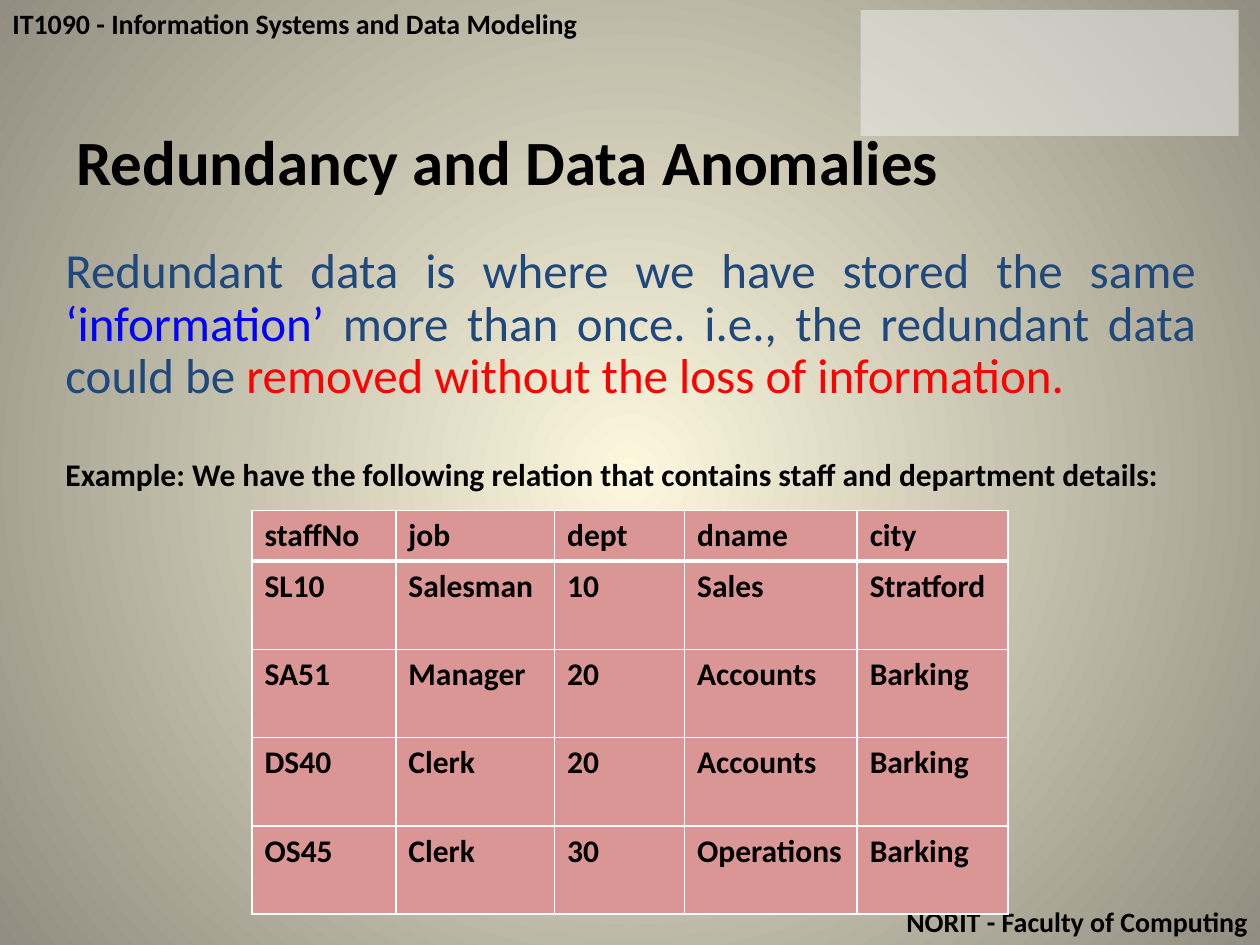
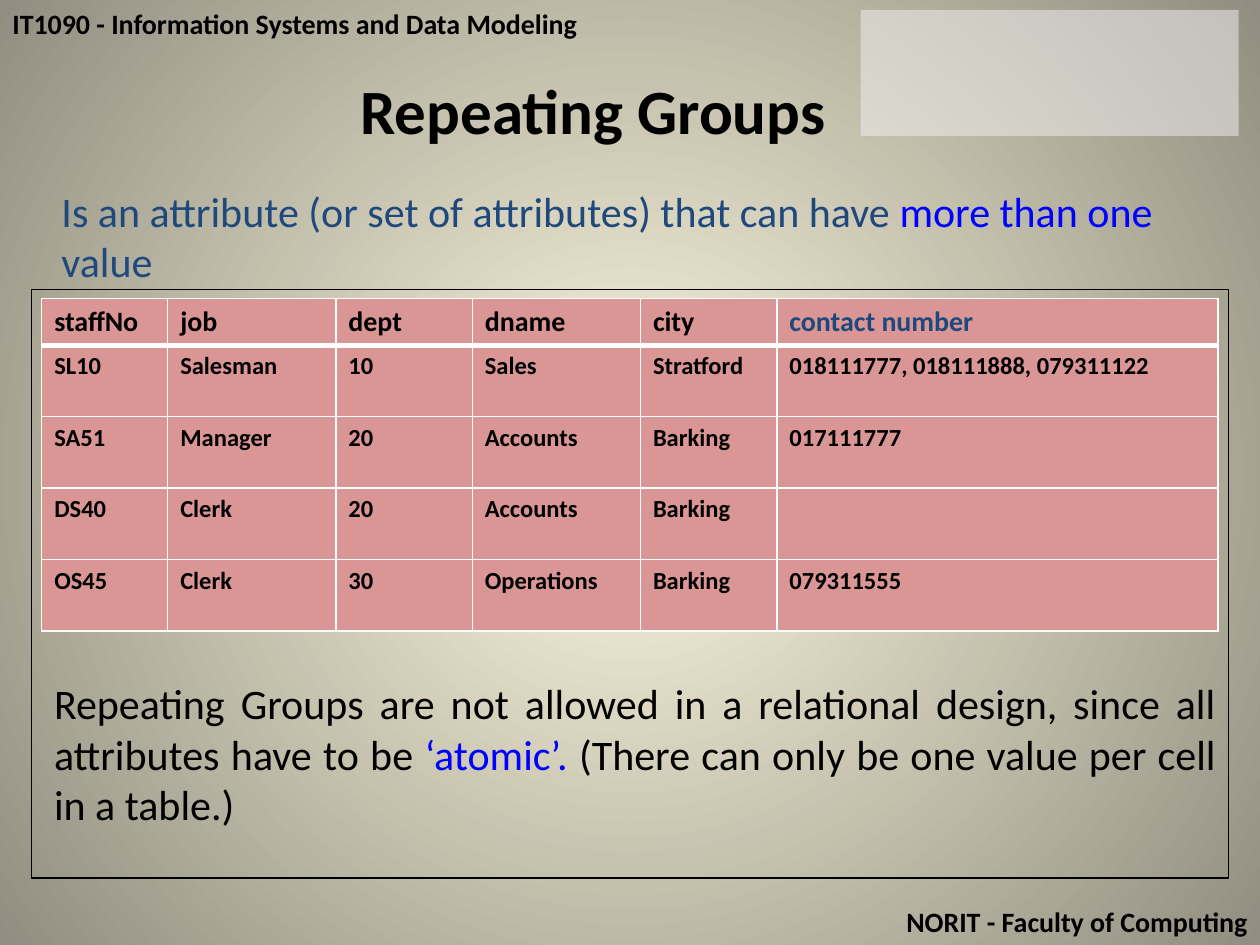
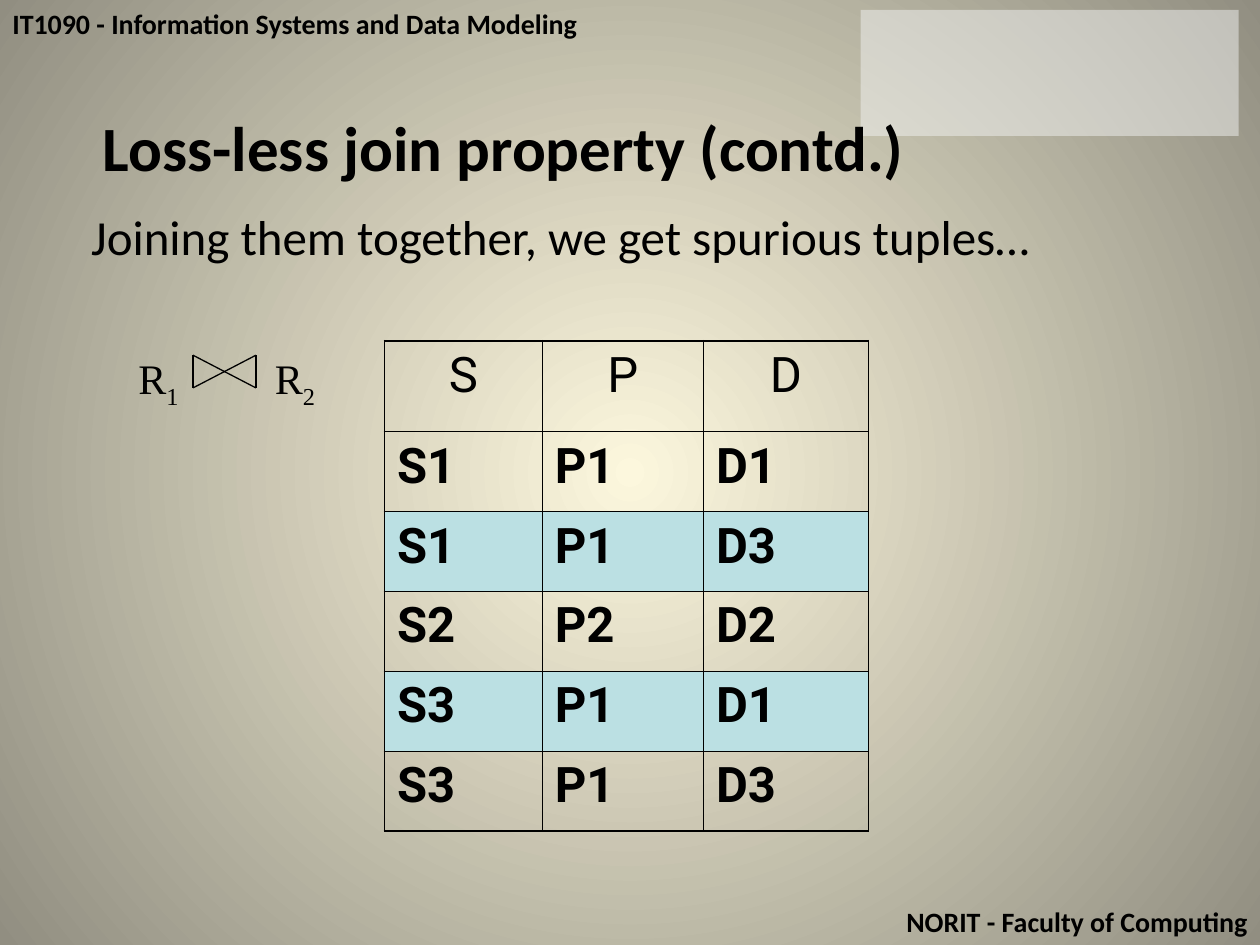
from dataclasses import dataclass

from pptx import Presentation
from pptx.dml.color import RGBColor
from pptx.enum.shapes import MSO_CONNECTOR, MSO_SHAPE
from pptx.enum.text import PP_ALIGN
from pptx.oxml import parse_xml
from pptx.oxml.ns import nsdecls, qn
from pptx.oxml.xmlchemy import OxmlElement
from pptx.util import Cm, Pt


@dataclass(frozen=True)
class Theme:
    font: str = "Calibri"
    grid_font: str = "Roboto"
    math_font: str = "Times New Roman"
    black: str = "000000"
    white: str = "FFFFFF"
    navy: str = "1F497D"
    blue: str = "0000FF"
    red: str = "FF0000"
    rose: str = "D99694"
    aqua: str = "BBE0E3"
    panel: str = "F2F2F2"
    glow: str = "FCF7DD"
    edge: str = "918E81"
    title: int = 36
    lead: int = 28
    body: int = 24
    label: int = 18
    band: int = 16
    small: int = 14
    hairline: float = 0.75


THEME = Theme()


@dataclass(frozen=True)
class Grid:
    """Line widths in points and the line colour of a table."""
    color: str
    outer: float
    inner: float
    under_header: float


ROSE_GRID = Grid(THEME.white, 1, 1, 3)
PLAIN_GRID = Grid(THEME.black, 1.08, 0.45, 0.45)

STAFF_HEADER = ["staffNo", "job", "dept", "dname", "city"]
STAFF = [
    ["SL10", "Salesman", "10", "Sales", "Stratford"],
    ["SA51", "Manager", "20", "Accounts", "Barking"],
    ["DS40", "Clerk", "20", "Accounts", "Barking"],
    ["OS45", "Clerk", "30", "Operations", "Barking"],
]
CONTACTS = ["018111777, 018111888, 079311122", "017111777", "", "079311555"]
JOINED = [
    ["S1", "P1", "D1"],
    ["S1", "P1", "D3"],
    ["S2", "P2", "D2"],
    ["S3", "P1", "D1"],
    ["S3", "P1", "D3"],
]
SPURIOUS_ROWS = (2, 4)


class Deck:
    def __init__(self, theme):
        self.theme = theme
        self.prs = Presentation()
        self.prs.slide_width, self.prs.slide_height = Cm(25.4), Cm(19.05)
        self.s = None
        self.set_background()

    def set_background(self):
        master = self.prs.slide_master
        fill = master.background.fill
        fill.gradient()
        for stop, color in zip(fill.gradient_stops, (self.theme.glow, self.theme.edge)):
            stop.color.rgb = RGBColor.from_string(color)
        grad = next(master.element.iter(qn("a:gradFill")))
        grad.replace(grad.find(qn("a:lin")), parse_xml(
            f'<a:path {nsdecls("a")} path="circle">'
            '<a:fillToRect l="50000" t="50000" r="50000" b="50000"/></a:path>'))

    def slide(self, title, left, top, width):
        """Start a slide with its bands, corner panel and title."""
        t = self.theme
        self.s = self.prs.slides.add_slide(self.prs.slide_layouts[6])
        self.text(0, 0, 25.4, 0.94, [("IT1090 - Information Systems and Data Modeling", t.black)],
                  t.band, bold=True)
        self.text(0, 18.11, 25.4, 0.94, [("NORIT - Faculty of Computing", t.black)],
                  t.band, bold=True, align=PP_ALIGN.RIGHT)
        self.box(17.35, 0.2, 7.62, 2.54, fill=t.panel, opacity=50)
        self.text(left, top, width, 2.21, [(title, t.black)], t.title,
                  bold=True, align=PP_ALIGN.CENTER)

    def run(self, p, text, size, color, bold=False, font=None):
        r = p.add_run()
        r.text = text
        r.font.name = font or self.theme.font
        r.font.size, r.font.bold = Pt(size), bold
        r.font.color.rgb = RGBColor.from_string(color)
        return r

    def text(self, left, top, width, height, runs, size, bold=False,
             align=PP_ALIGN.LEFT, spacing=None):
        """Add a text box from (text, colour) runs and return its text frame."""
        tf = self.s.shapes.add_textbox(Cm(left), Cm(top), Cm(width), Cm(height)).text_frame
        tf.word_wrap = True
        p = tf.paragraphs[0]
        p.alignment, p.line_spacing = align, spacing
        for text, color in runs:
            self.run(p, text, size, color, bold)
        return tf

    def box(self, left, top, width, height, fill=None, opacity=100, line=None):
        sp = self.s.shapes.add_shape(MSO_SHAPE.RECTANGLE, Cm(left), Cm(top), Cm(width), Cm(height))
        sp.shadow.inherit = False
        if fill:
            sp.fill.solid()
            sp.fill.fore_color.rgb = RGBColor.from_string(fill)
            alpha = OxmlElement("a:alpha")
            alpha.set("val", str(opacity * 1000))
            next(sp.element.spPr.iter(qn("a:srgbClr"))).append(alpha)
        else:
            sp.fill.background()
        if line:
            sp.line.color.rgb = RGBColor.from_string(line)
            sp.line.width = Pt(self.theme.hairline)
        else:
            sp.line.fill.background()

    def line(self, x1, y1, x2, y2):
        cx = self.s.shapes.add_connector(MSO_CONNECTOR.STRAIGHT, Cm(x1), Cm(y1), Cm(x2), Cm(y2))
        cx.line.color.rgb = RGBColor.from_string(self.theme.black)
        cx.line.width = Pt(self.theme.hairline)
        cx.element.spPr.append(OxmlElement("a:effectLst"))

    def table(self, left, top, cols, head_height, row_height, rows, grid, fill_for, write):
        """Add a table; fill_for(row) gives a colour or None, write(p, row, col, text) its text."""
        heights = [head_height] + [row_height] * (len(rows) - 1)
        tbl = self.s.shapes.add_table(len(rows), len(cols), Cm(left), Cm(top),
                                      Cm(sum(cols)), Cm(sum(heights))).table
        tbl.first_row = tbl.horz_banding = False
        for column, width in zip(tbl.columns, cols):
            column.width = Cm(width)
        for row, height in zip(tbl.rows, heights):
            row.height = Cm(height)
        for i, values in enumerate(rows):
            for j, value in enumerate(values):
                cell = tbl.cell(i, j)
                self.borders(cell, i, j, len(rows) - 1, len(cols) - 1, grid)
                color = fill_for(i)
                if color:
                    cell.fill.solid()
                    cell.fill.fore_color.rgb = RGBColor.from_string(color)
                else:
                    cell.fill.background()
                if value:
                    write(cell.text_frame.paragraphs[0], i, j, value)

    def borders(self, cell, i, j, last_row, last_col, grid):
        def across(edge):
            if edge in (0, last_row + 1):
                return grid.outer
            return grid.under_header if edge == 1 else grid.inner

        def down(edge):
            return grid.outer if edge in (0, last_col + 1) else grid.inner

        sides = {"L": down(j), "R": down(j + 1), "T": across(i), "B": across(i + 1)}
        tc_pr = cell._tc.get_or_add_tcPr()
        for side, width in sides.items():
            tc_pr.append(parse_xml(
                f'<a:ln{side} {nsdecls("a")} w="{Pt(width)}"><a:solidFill>'
                f'<a:srgbClr val="{grid.color}"/></a:solidFill></a:ln{side}>'))

    def staff_table(self, left, top, cols, head_height, row_height, rows, head_size, size):
        t = self.theme

        def write(p, i, j, value):
            color = t.navy if value == "contact number" else t.black
            self.run(p, value, size if i else head_size, color, bold=True)

        self.table(left, top, cols, head_height, row_height, rows, ROSE_GRID,
                   lambda i: t.rose, write)

    def join_table(self, left, top, cols, head_height, row_height, rows):
        t = self.theme

        def write(p, i, j, value):
            p.alignment = PP_ALIGN.LEFT if i else PP_ALIGN.CENTER
            self.run(p, value, t.lead, t.black, bold=i > 0, font=t.grid_font)

        self.table(left, top, cols, head_height, row_height, rows, PLAIN_GRID,
                   lambda i: t.aqua if i in SPURIOUS_ROWS else None, write)

    def join_formula(self, left, top):
        """R1 and R2 with the bow-tie join sign between them."""
        t = self.theme
        p = self.text(left, top, 4.6, 1.42, [], t.body).paragraphs[0]
        p._p.get_or_add_pPr().append(parse_xml(
            f'<a:tabLst {nsdecls("a")}><a:tab pos="{Cm(2.75)}" algn="l"/></a:tabLst>'))
        for text, is_index in (("R", False), ("1", True), ("\tR", False), ("2", True)):
            r = self.run(p, text, t.body, t.black, font=t.math_font)
            if is_index:
                r.font._element.set("baseline", "-25000")
        x1, x2 = left + 1.35, left + 2.62
        y1, y2 = top + 0.17, top + 0.83
        for ends in ((x1, y1, x1, y2), (x2, y1, x2, y2), (x1, y1, x2, y2), (x1, y2, x2, y1)):
            self.line(*ends)


def redundancy(deck):
    t = deck.theme
    deck.slide("Redundancy and Data Anomalies", -0.03, 2.34, 20.52)
    tf = deck.text(1.07, 4.83, 23.29, 5.2, [
        ("Redundant data is where we have stored the same ", t.navy),
        ("‘information’", t.blue),
        (" more than once. i.e., the redundant data could be ", t.navy),
        ("removed without the loss of information.", t.red),
    ], t.lead, align=PP_ALIGN.JUSTIFY, spacing=0.9)
    p = tf.add_paragraph()
    p.alignment, p.line_spacing, p.space_before = PP_ALIGN.JUSTIFY, 0.9, Pt(31)
    deck.run(p, "Example: We have the following relation that contains staff and department details:",
             t.label, t.black, bold=True)
    deck.staff_table(5.08, 10.29, [2.9, 3.2, 2.62, 3.48, 3.04], 1.02, 1.78,
                     [STAFF_HEADER] + STAFF, t.label, t.label)


def repeating_groups(deck):
    t = deck.theme
    deck.slide("Repeating Groups", 2.11, 1.32, 19.69)
    deck.text(0.99, 3.61, 23.5, 2.31, [
        ("Is an attribute (or set of attributes) that can have ", t.navy),
        ("more than one", t.blue),
        (" value", t.navy),
    ], t.body)
    deck.box(0.64, 5.84, 24.13, 11.86, line=t.black)
    rows = [STAFF_HEADER + ["contact number"]]
    rows += [staff + [contact] for staff, contact in zip(STAFF, CONTACTS)]
    deck.staff_table(0.84, 6.02, [2.54, 3.39, 2.75, 3.39, 2.75, 8.89], 0.94, 1.44,
                     rows, t.band, t.small)
    deck.text(0.84, 13.54, 23.93, 3.33, [
        ("Repeating Groups are not allowed in a relational design, since all attributes have to be ",
         t.black),
        ("‘atomic’. ", t.blue),
        ("(There can only be one value per cell in a table.)", t.black),
    ], t.body, align=PP_ALIGN.JUSTIFY)


def lossless_join(deck):
    t = deck.theme
    deck.slide("Loss-less join property (contd.)", -0.64, 2.06, 21.59)
    deck.text(1.59, 4.04, 22.23, 2.72,
              [("Joining them together, we get spurious tuples…", t.black)], t.lead)
    deck.join_formula(2.54, 6.99)
    deck.join_table(7.75, 6.87, [3.18, 3.25, 3.33], 1.83, 1.61, [["S", "P", "D"]] + JOINED)


def main():
    deck = Deck(THEME)
    redundancy(deck)
    repeating_groups(deck)
    lossless_join(deck)
    deck.prs.save("out.pptx")


if __name__ == "__main__":
    main()
